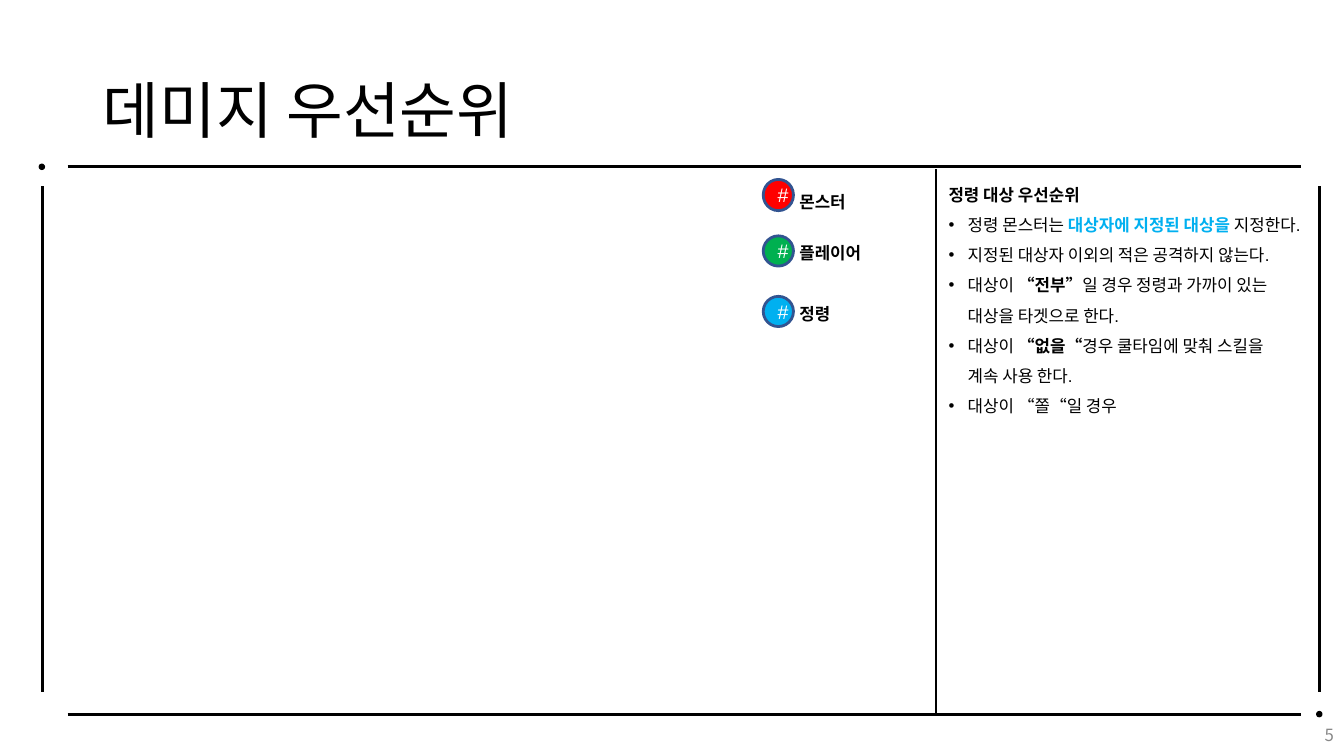
from lxml import etree
from pptx import Presentation
from pptx.dml.color import RGBColor
from pptx.enum.shapes import MSO_CONNECTOR, MSO_SHAPE
from pptx.enum.text import MSO_ANCHOR, PP_ALIGN
from pptx.oxml.ns import qn
from pptx.util import Inches, Pt

LINE = MSO_CONNECTOR.STRAIGHT
OVAL = MSO_SHAPE.OVAL
TOP, MIDDLE = MSO_ANCHOR.TOP, MSO_ANCHOR.MIDDLE
LEFT, CENTER, RIGHT = PP_ALIGN.LEFT, PP_ALIGN.CENTER, PP_ALIGN.RIGHT

BLACK = RGBColor(0x00, 0x00, 0x00)
WHITE = RGBColor(0xFF, 0xFF, 0xFF)
GRAY = RGBColor(0x88, 0x88, 0x88)
RED = RGBColor(0xFF, 0x00, 0x00)
GREEN = RGBColor(0x00, 0xB0, 0x50)
SKY = RGBColor(0x00, 0xB0, 0xF0)
NAVY = RGBColor(0x32, 0x54, 0x91)
ARIAL, NOTO = "Arial", "Noto Sans CJK KR"


def style(p, size, font, color, bold=False, align=LEFT, spacing=1.0):
    """Format a paragraph and all of its runs."""
    p.alignment = align
    p.line_spacing = spacing
    for r in p.runs:
        r.font.size = Pt(size)
        r.font.name = font
        r.font.bold = bold
        r.font.color.rgb = color
        etree.SubElement(r._r.get_or_add_rPr(), qn("a:ea"), typeface=NOTO)


def add_text(box, text, anchor, *args):
    """Add a wrapping one-style text box and return its frame."""
    tf = slide.shapes.add_textbox(*map(Inches, box)).text_frame
    tf.word_wrap = True
    tf.vertical_anchor = anchor
    tf.text = text
    style(tf.paragraphs[0], *args)
    return tf


prs = Presentation()
prs.slide_width, prs.slide_height = Inches(13.33), Inches(7.5)
slide = prs.slides.add_slide(prs.slide_layouts[6])

# Title and page number
add_text((0.92, 0.4, 11.5, 1.45), "데미지 우선순위", MIDDLE,
         44, NOTO, BLACK, False, LEFT, 0.9)
add_text((10.33, 7.09, 3, 0.4), "5", MIDDLE, 12, NOTO, GRAY, False, RIGHT)

# Frame lines and the divider
lines = [(0.67, 1.65, 12.9, 1.65, 2.25), (0.67, 7.09, 12.9, 7.09, 2.25),
         (0.42, 1.85, 0.42, 6.87, 2.25), (13.09, 1.85, 13.09, 6.87, 2.25),
         (9.28, 1.68, 9.28, 7.09, 1.5)]
for *ends, width in lines:
    line = slide.shapes.add_connector(LINE, *map(Inches, ends))
    line.line.color.rgb = BLACK
    line.line.width = Pt(width)
    etree.SubElement(line._element.spPr, qn("a:effectLst"))

# Corner dots and legend markers
ovals = [(13.06, 7.06, 0.05, 0.05, BLACK, BLACK, 1, ""),
         (0.39, 1.63, 0.05, 0.05, BLACK, BLACK, 1, ""),
         (7.57, 1.78, 0.3, 0.31, RED, NAVY, 2, "#"),
         (7.57, 2.34, 0.3, 0.3, GREEN, NAVY, 2, "#"),
         (7.57, 2.94, 0.3, 0.3, SKY, NAVY, 2, "#")]
for *box, fill, outline, width, mark in ovals:
    sp = slide.shapes.add_shape(OVAL, *map(Inches, box))
    sp.shadow.inherit = False
    sp.fill.solid()
    sp.fill.fore_color.rgb = fill
    sp.line.color.rgb = outline
    sp.line.width = Pt(width)
    if mark:
        sp.text_frame.text = mark
        style(sp.text_frame.paragraphs[0], 14, ARIAL, WHITE, False, CENTER)

# Legend labels
for top, label in [(1.75, "몬스터"), (2.26, "플레이어"), (2.86, "정령")]:
    add_text((7.83, top, 1.21, 0.36), label, TOP,
             12, ARIAL, BLACK, True, LEFT, 1.5)

# Priority rules: text before, emphasis, emphasis colour, text after
rules = [("정령 몬스터는 ", "대상자에 지정된 대상을", SKY, " 지정한다."),
         ("지정된 대상자 이외의 적은 공격하지 않는다.", "", BLACK, ""),
         ("대상이 ", "“전부”", BLACK, "일 경우 정령과 가까이 있는 \n대상을 타겟으로 한다."),
         ("대상이 ", "“없을“", BLACK, "경우 쿨타임에 맞춰 스킬을\n계속 사용 한다."),
         ("대상이 “쫄“일 경우", "", BLACK, "")]
tf = add_text((9.31, 1.68, 4, 3.09), "정령 대상 우선순위", TOP,
              12, ARIAL, BLACK, True, LEFT, 1.5)
for before, emphasis, color, after in rules:
    p = tf.add_paragraph()
    p.text = before
    if emphasis:
        strong = p.add_run()
        strong.text = emphasis
        for i, part in enumerate(after.split("\n")):
            if i:
                p.add_line_break()
            p.add_run().text = part
    style(p, 12, ARIAL, BLACK, False, LEFT, 1.5)
    if emphasis:
        strong.font.bold = True
        strong.font.color.rgb = color
    pPr = p._p.get_or_add_pPr()
    pPr.set("marL", str(Inches(0.19)))
    pPr.set("indent", str(-Inches(0.19)))
    etree.SubElement(pPr, qn("a:buFont"), typeface=ARIAL)
    etree.SubElement(pPr, qn("a:buChar"), char="•")

prs.save("out.pptx")
